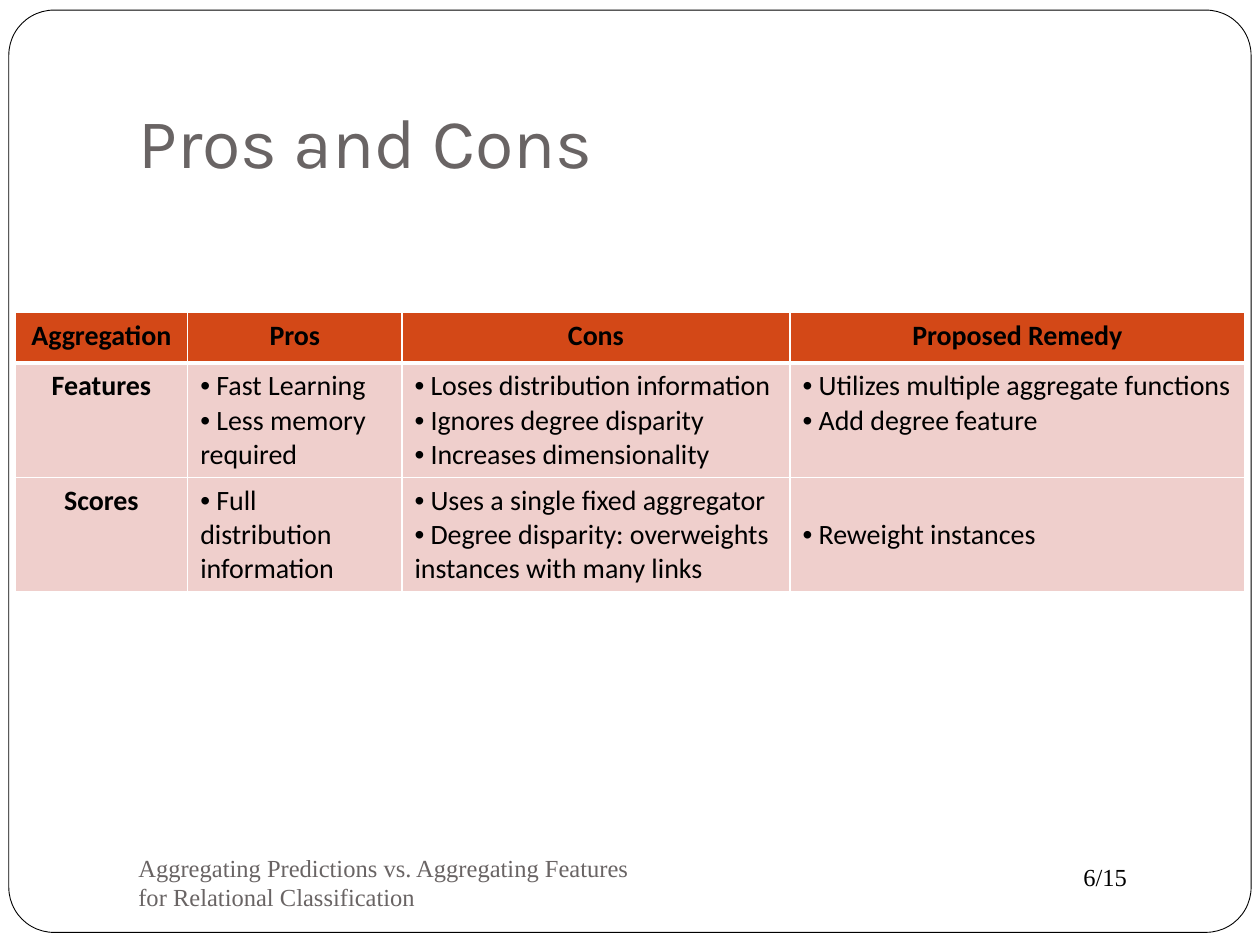
from pptx import Presentation
from pptx.dml.color import RGBColor
from pptx.enum.shapes import MSO_SHAPE
from pptx.enum.text import MSO_ANCHOR, PP_ALIGN
from pptx.oxml.ns import qn
from pptx.util import Inches, Pt
from lxml.etree import SubElement

COLORS = {"paper": "FFFFFF", "ink": "000000", "gray": "696464",
          "header": "D34817", "body": "EFCFCC"}
COLUMN_WIDTHS = [1.37, 1.7, 3.08, 3.61]
ROW_HEIGHTS = [0.4, 0.91, 0.91]
HEADINGS = ["Aggregation", "Pros", "Cons", "Proposed Remedy"]
AGGREGATIONS = [
    ("Features",
     ["Fast Learning", "Less memory required"],
     ["Loses distribution information", "Ignores degree disparity",
      "Increases dimensionality"],
     ["Utilizes multiple aggregate functions", "Add degree feature"]),
    ("Scores",
     ["Full distribution information"],
     ["Uses a single fixed aggregator",
      "Degree disparity: overweights instances with many links"],
     ["Reweight instances"]),
]


def color(name):
    return RGBColor.from_string(COLORS[name])


class SlideBuilder:
    """Places styled elements; left, top, width and height are shares of the slide."""

    def __init__(self, presentation):
        self.size = (presentation.slide_width, presentation.slide_height)
        self.slide = presentation.slides.add_slide(presentation.slide_layouts[6])
        self.shapes = self.slide.shapes

    def box(self, left, top, width, height):
        return [round(share * length)
                for share, length in zip((left, top, width, height), self.size * 2)]

    def style(self, paragraph, text, font, size, ink="ink", bold=False):
        run = paragraph.add_run()
        run.text = text
        for name, value in {"name": font, "size": Pt(size), "bold": bold}.items():
            setattr(run.font, name, value)
        run.font.color.rgb = color(ink)

    def frame(self, box, rounding):
        shape = self.shapes.add_shape(MSO_SHAPE.ROUNDED_RECTANGLE, *self.box(*box))
        shape.adjustments[0] = rounding
        shape.shadow.inherit = False
        shape.fill.solid()
        shape.fill.fore_color.rgb = color("paper")
        shape.line.color.rgb = color("ink")
        shape.line.width = Pt(0.5)

    def text(self, box, text, font, size, ink, **frame_format):
        text_frame = self.shapes.add_textbox(*self.box(*box)).text_frame
        for name, value in {"word_wrap": True, **frame_format}.items():
            setattr(text_frame, name, value)
        self.style(text_frame.paragraphs[0], text, font, size, ink)

    def borders(self, cell, **widths):
        properties = cell._tc.get_or_add_tcPr()
        for side in "LRTB":
            line = SubElement(properties, qn(f"a:ln{side}"),
                              w=str(Pt(widths.get(side, 1))))
            fill = SubElement(line, qn("a:solidFill"))
            SubElement(fill, qn("a:srgbClr"), val=COLORS["paper"])

    def cell(self, cell, content, fill, **border_widths):
        """A string becomes a centred bold label, a list becomes bullets."""
        self.borders(cell, **border_widths)
        cell.fill.solid()
        cell.fill.fore_color.rgb = color(fill)
        is_label = isinstance(content, str)
        text_frame = cell.text_frame
        for index, item in enumerate([content] if is_label else content):
            paragraph = text_frame.add_paragraph() if index else text_frame.paragraphs[0]
            if is_label:
                paragraph.alignment = PP_ALIGN.CENTER
            else:
                properties = paragraph._p.get_or_add_pPr()
                SubElement(properties, qn("a:buFont"), typeface="Arial")
                SubElement(properties, qn("a:buChar"), char="•")
                item = f" {item}"
            self.style(paragraph, item, "Calibri", 16, bold=is_label)

    def table(self, box, rows, column_widths, row_heights):
        table = self.shapes.add_table(len(rows), len(column_widths),
                                      *self.box(*box)).table
        for column, width in zip(table.columns, column_widths):
            column.width = Inches(width)
        for row, height in zip(table.rows, row_heights):
            row.height = Inches(height)
        for row_index, contents in enumerate(rows):
            fill = "body" if row_index else "header"
            edges = {0: {"B": 3}, 1: {"T": 3}}.get(row_index, {})
            for column_index, content in enumerate(contents):
                self.cell(table.cell(row_index, column_index), content, fill, **edges)
        return table


def main():
    presentation = Presentation()
    presentation.slide_width, presentation.slide_height = Inches(10), Inches(7.5)
    builder = SlideBuilder(presentation)

    builder.frame((0.007, 0.08 / 7.5, 0.986, 7.32 / 7.5), 0.049)
    builder.text((0.85, 6.79 / 7.5, 0.1, 0.34 / 7.5), "6/15",
                 "Times New Roman", 14, "ink")
    builder.text((0.1, 0.04, 0.85, 1.25 / 7.5), "Pros and Cons", "Karla", 40, "gray",
                 vertical_anchor=MSO_ANCHOR.BOTTOM, margin_bottom=Inches(0.1))
    builder.text((0.1, 0.9, 0.433, 0.5 / 7.5),
                 "Aggregating Predictions vs. Aggregating Features "
                 "for Relational Classification",
                 "Times New Roman", 14, "gray", vertical_anchor=MSO_ANCHOR.MIDDLE)

    table = builder.table(
        (0.012, 2.48 / 7.5, sum(COLUMN_WIDTHS) / 10, sum(ROW_HEIGHTS) / 7.5),
        [HEADINGS, *AGGREGATIONS], COLUMN_WIDTHS, ROW_HEIGHTS)
    # The remedy for scores lines up with the second drawback.
    table.cell(2, 3).margin_top = Inches(0.32)

    presentation.save("out.pptx")


if __name__ == "__main__":
    main()
